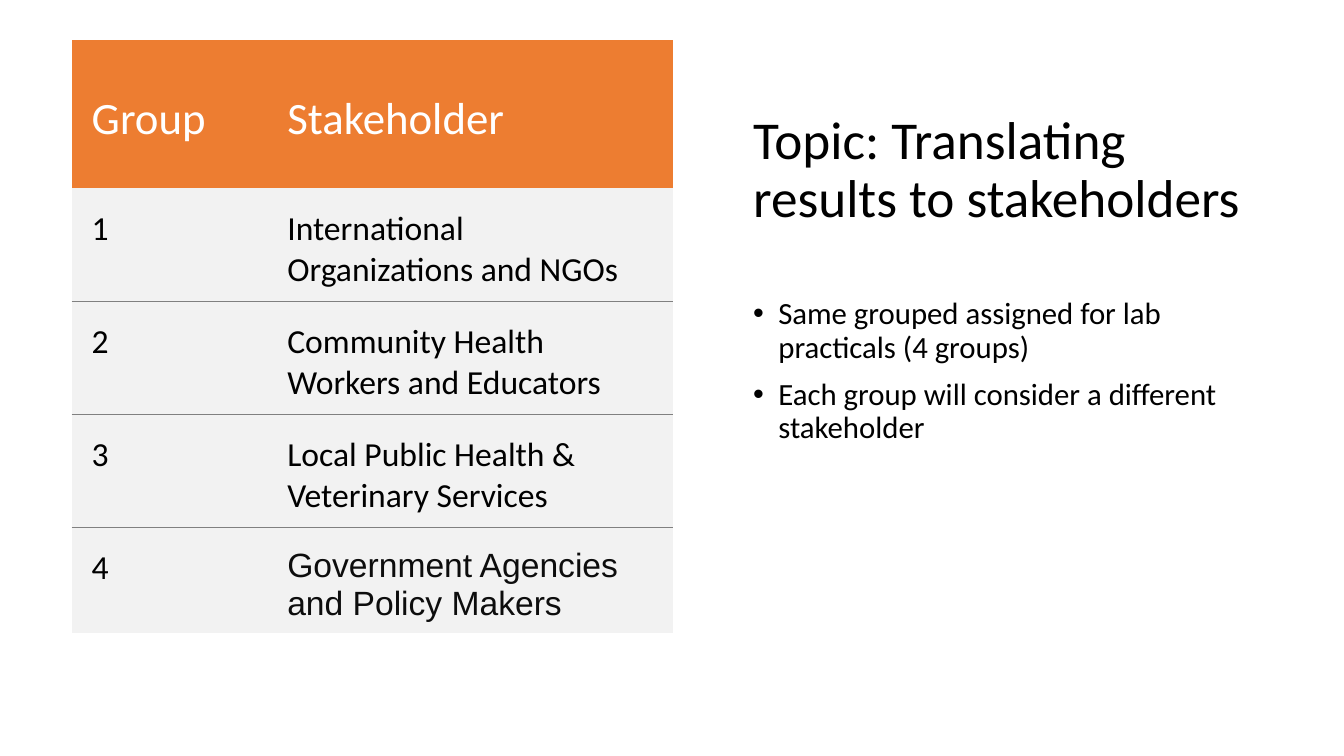
from dataclasses import dataclass

from lxml import etree
from pptx import Presentation
from pptx.dml.color import RGBColor
from pptx.enum.text import MSO_ANCHOR, MSO_AUTO_SIZE, PP_ALIGN
from pptx.oxml.ns import qn
from pptx.shapes.placeholder import SlidePlaceholder
from pptx.slide import Slide
from pptx.table import _Cell
from pptx.text.text import _Paragraph
from pptx.util import Pt

EMU_PER_PX = 9144
LEFT = PP_ALIGN.LEFT
TOP, MIDDLE, BOTTOM = MSO_ANCHOR.TOP, MSO_ANCHOR.MIDDLE, MSO_ANCHOR.BOTTOM
NO_AUTOFIT = MSO_AUTO_SIZE.NONE

BLACK = RGBColor(0x00, 0x00, 0x00)
NEAR_BLACK = RGBColor(0x0D, 0x0D, 0x0D)
WHITE = RGBColor(0xFF, 0xFF, 0xFF)
ORANGE = RGBColor(0xED, 0x7D, 0x31)
LIGHT_GRAY = RGBColor(0xF2, 0xF2, 0xF2)
RULE_GRAY = RGBColor(0x80, 0x80, 0x80)


@dataclass(frozen=True)
class TextStyle:
    size: int
    color: RGBColor = BLACK
    font: str = "Calibri"


@dataclass(frozen=True)
class StakeholderRow:
    group: str
    stakeholder: str
    height: int
    style: TextStyle
    stakeholder_style: TextStyle
    fill: RGBColor = LIGHT_GRAY
    anchor: MSO_ANCHOR = TOP
    rule_above: bool = False
    rule_below: bool = False


TITLE_STYLE = TextStyle(38)
BODY_STYLE = TextStyle(22)
HEADER_STYLE = TextStyle(32, WHITE)
CELL_STYLE = TextStyle(24)
ARIAL_CELL_STYLE = TextStyle(24, NEAR_BLACK, "Arial")

TITLE = "Topic: Translating results to stakeholders"
BULLETS = [
    "Same grouped assigned for lab practicals (4 groups)",
    "Each group will consider a different stakeholder",
]
COLUMN_WIDTHS = [194, 403]
ROWS = [
    StakeholderRow("Group", "Stakeholder", 147, HEADER_STYLE, HEADER_STYLE, ORANGE, MIDDLE),
    StakeholderRow("1", "International Organizations and NGOs", 112,
                   CELL_STYLE, CELL_STYLE, rule_below=True),
    StakeholderRow("2", "Community Health Workers and Educators", 112,
                   CELL_STYLE, CELL_STYLE, rule_above=True, rule_below=True),
    StakeholderRow("3", "Local Public Health & Veterinary Services", 112,
                   CELL_STYLE, CELL_STYLE, rule_above=True, rule_below=True),
    StakeholderRow("4", "Government Agencies and Policy Makers", 105,
                   CELL_STYLE, ARIAL_CELL_STYLE, rule_above=True),
]


def px(value: int) -> int:
    return value * EMU_PER_PX


def format_runs(paragraph: _Paragraph, style: TextStyle) -> None:
    paragraph.alignment = LEFT
    for run in paragraph.runs:
        run.font.size = Pt(style.size)
        run.font.name = style.font
        run.font.color.rgb = style.color


def place(shape: SlidePlaceholder, left: int, top: int, width: int, height: int) -> None:
    shape.left, shape.top = px(left), px(top)
    shape.width, shape.height = px(width), px(height)
    shape.text_frame.word_wrap = True
    shape.text_frame.auto_size = NO_AUTOFIT


def set_borders(cell: _Cell, row: StakeholderRow) -> None:
    properties = cell._tc.get_or_add_tcPr()
    edges = {"a:lnL": False, "a:lnR": False, "a:lnT": row.rule_above, "a:lnB": row.rule_below}
    for position, (tag, visible) in enumerate(edges.items()):
        line = etree.Element(qn(tag), w=str(Pt(0.75) if visible else 0))
        if visible:
            fill = etree.SubElement(line, qn("a:solidFill"))
            etree.SubElement(fill, qn("a:srgbClr"), val=str(RULE_GRAY))
        else:
            etree.SubElement(line, qn("a:noFill"))
        properties.insert(position, line)


def fill_cell(cell: _Cell, text: str, style: TextStyle, row: StakeholderRow) -> None:
    cell.text_frame.text = text
    format_runs(cell.text_frame.paragraphs[0], style)
    cell.margin_left = cell.margin_top = cell.margin_right = px(20)
    cell.margin_bottom = px(10)
    cell.vertical_anchor = row.anchor
    cell.fill.solid()
    cell.fill.fore_color.rgb = row.fill
    set_borders(cell, row)


def add_title(slide: Slide) -> None:
    title = slide.shapes.title
    place(title, 737, 70, 527, 162)
    title.text_frame.text = TITLE
    title.text_frame.vertical_anchor = BOTTOM
    paragraph = title.text_frame.paragraphs[0]
    paragraph.line_spacing = 0.9
    format_runs(paragraph, TITLE_STYLE)


def add_bullets(slide: Slide) -> None:
    body = slide.placeholders[1]
    place(body, 737, 291, 527, 388)
    body.text_frame.text = "\n".join(BULLETS)
    for paragraph in body.text_frame.paragraphs:
        paragraph.line_spacing = 0.9
        paragraph.space_before = Pt(10)
        format_runs(paragraph, BODY_STYLE)
        properties = paragraph._p.get_or_add_pPr()
        properties.set("marL", str(px(25)))
        properties.set("indent", str(px(-25)))
        etree.SubElement(properties, qn("a:buFont"), typeface="Arial")
        etree.SubElement(properties, qn("a:buChar"), char="•")


def add_stakeholder_table(slide: Slide) -> None:
    height = sum(row.height for row in ROWS)
    table = slide.shapes.add_table(
        len(ROWS), len(COLUMN_WIDTHS), px(71), px(40), px(sum(COLUMN_WIDTHS)), px(height)
    ).table
    table.first_row = False
    table.horz_banding = False
    for column, width in zip(table.columns, COLUMN_WIDTHS):
        column.width = px(width)
    for index, row in enumerate(ROWS):
        table.rows[index].height = px(row.height)
        fill_cell(table.cell(index, 0), row.group, row.style, row)
        fill_cell(table.cell(index, 1), row.stakeholder, row.stakeholder_style, row)


def main() -> None:
    presentation = Presentation()
    presentation.slide_width, presentation.slide_height = px(1333), px(750)
    slide = presentation.slides.add_slide(presentation.slide_layouts[1])
    add_title(slide)
    add_bullets(slide)
    add_stakeholder_table(slide)
    presentation.save("out.pptx")


if __name__ == "__main__":
    main()
